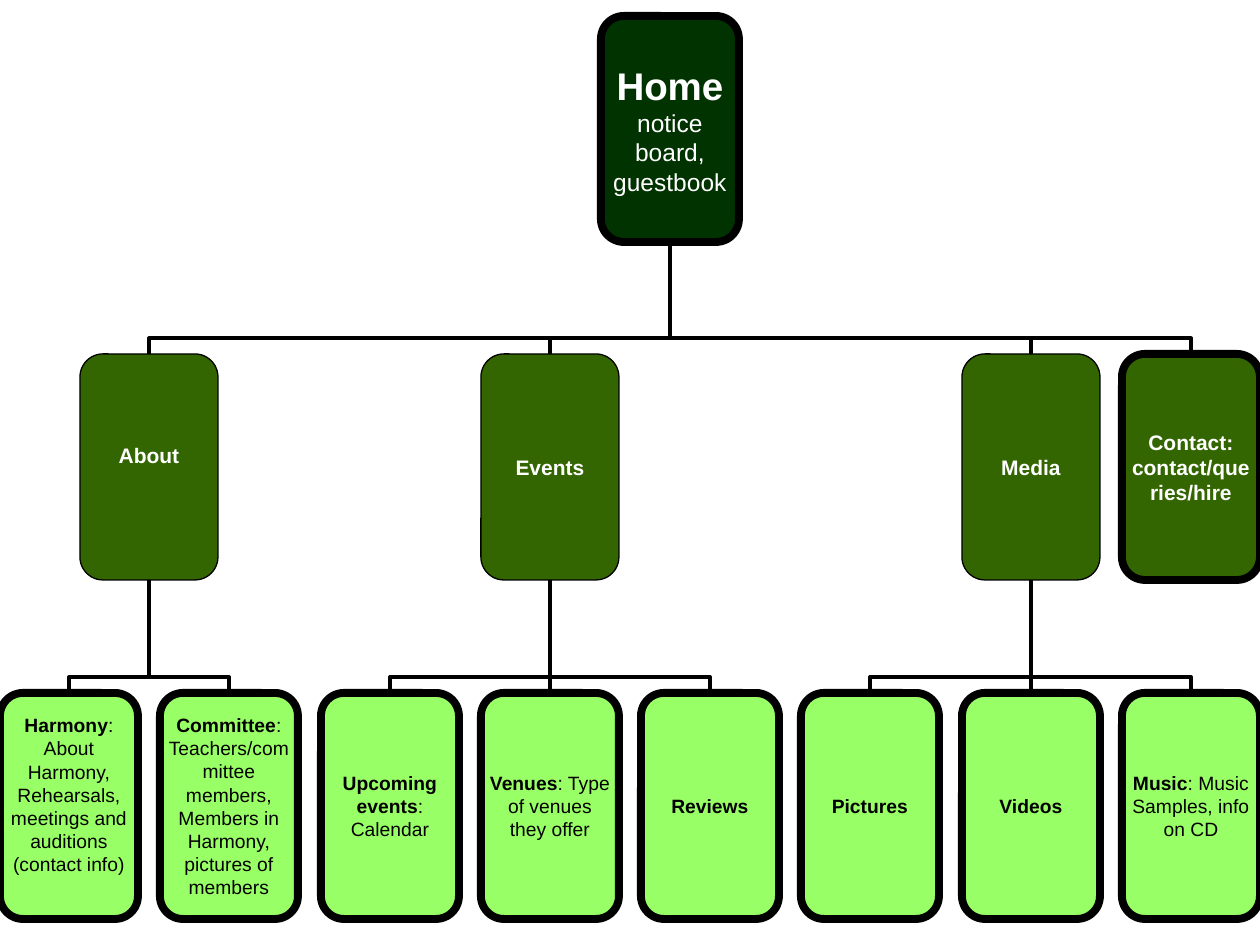
from lxml.etree import SubElement
from pptx import Presentation
from pptx.dml.color import RGBColor
from pptx.enum.shapes import MSO_CONNECTOR, MSO_SHAPE
from pptx.enum.text import MSO_ANCHOR, PP_ALIGN
from pptx.oxml.ns import qn
from pptx.util import Pt

EMU_PER_PX = 914400 / 126
PAGE_WIDTH, PAGE_HEIGHT = 1260, 945
BOX_WIDTH, BOX_HEIGHT = 138, 226
COLUMN_STEP = (PAGE_WIDTH - BOX_WIDTH) / 7
ROW_TOPS = [16, 354, 693]
BEND_POSITION = 86100
COLORS = {
    "home": "003300",
    "section": "336600",
    "topic": "99FF66",
    "light": "FFFFFF",
    "dark": "000000",
}
STYLES = [
    {"fill": "home", "text": "light", "size": 14},
    {"fill": "section", "text": "light", "size": 12},
    {"fill": "topic", "text": "dark", "size": 11},
]
THICK, THIN = 4.5, 0.75

# name: (row, column, parent, border, bottom inset, paragraphs of (text, bold, size))
NODES = {
    "Home": (0, 3.75, None, THICK, 0, [[("Home", True, 22)], [("notice board, guestbook", False)]]),
    "About": (1, 0.5, "Home", THIN, 24, [[("About", True)]]),
    "Events": (1, 3, "Home", THIN, 0, [[("Events", True)]]),
    "Media": (1, 6, "Home", THIN, 0, [[("Media", True)]]),
    "Contact": (1, 7, "Home", THICK, 0, [[("Contact: contact/queries/hire", True)]]),
    "Harmony": (2, 0, "About", THICK, 23, [
        [("Harmony", True), (": About Harmony,", False)],
        [("Rehearsals, meetings and auditions (contact info)", False)]]),
    "Committee": (2, 1, "About", THICK, 0, [
        [("Committee", True),
         (": Teachers/committee members, Members in Harmony, pictures of members", False)]]),
    "Upcoming": (2, 2, "Events", THICK, 0, [[("Upcoming events", True), (": Calendar", False)]]),
    "Venues": (2, 3, "Events", THICK, 0, [
        [("Venues", True), (": Type of venues they offer", False)]]),
    "Reviews": (2, 4, "Events", THICK, 0, [[("Reviews", True)]]),
    "Pictures": (2, 5, "Media", THICK, 0, [[("Pictures", True)]]),
    "Videos": (2, 6, "Media", THICK, 0, [[("Videos", True)]]),
    "Music": (2, 7, "Media", THICK, 0, [
        [("Music", True), (": Music Samples, info on CD", False)]]),
}


def px(length):
    """Turn pixels into EMU."""
    return round(length * EMU_PER_PX)


def color(name):
    """Look up a named colour."""
    return RGBColor.from_string(COLORS[name])


def set_all(target, values):
    """Set attributes from a dict of format values."""
    for name, value in values.items():
        setattr(target, name, value)


def position(name):
    """Return the left and top of a node in pixels."""
    row, column = NODES[name][:2]
    return round(column * COLUMN_STEP), ROW_TOPS[row]


def add_link(page, parent, child):
    """Join the bottom of a parent to the top of its child."""
    (parent_left, parent_top), (child_left, child_top) = position(parent), position(child)
    start_x, end_x = parent_left + BOX_WIDTH / 2, child_left + BOX_WIDTH / 2
    start_y, end_y = parent_top + BOX_HEIGHT, child_top
    bent = start_x != end_x
    ends = (start_x, start_y, end_x, end_y)
    if bent:
        middle_x, middle_y = (start_x + end_x) / 2, (start_y + end_y) / 2
        half_drop, half_shift = (end_y - start_y) / 2, (end_x - start_x) / 2
        ends = (middle_x - half_drop, middle_y + half_shift,
                middle_x + half_drop, middle_y - half_shift)
    kind = MSO_CONNECTOR.ELBOW if bent else MSO_CONNECTOR.STRAIGHT
    link = page.shapes.add_connector(kind, *map(px, ends))
    link.line.color.rgb = color("dark")
    link.line.width = Pt(2.25)
    properties = link._element.spPr
    if bent:
        properties.find(qn("a:xfrm")).set("rot", str(90 * 60000))
        guides = properties.find(qn("a:prstGeom")).find(qn("a:avLst"))
        SubElement(guides, qn("a:gd"), name="adj1", fmla=f"val {BEND_POSITION}")
    SubElement(properties, qn("a:effectLst"))


def add_node(page, name):
    """Draw one rounded box with its text."""
    row, _, _, border, bottom, paragraphs = NODES[name]
    style = STYLES[row]
    left, top = position(name)
    box = page.shapes.add_shape(
        MSO_SHAPE.ROUNDED_RECTANGLE, *map(px, (left, top, BOX_WIDTH, BOX_HEIGHT)))
    box.shadow.inherit = False
    box.fill.solid()
    box.fill.fore_color.rgb = color(style["fill"])
    box.line.color.rgb = color("dark")
    box.line.width = Pt(border)
    frame = box.text_frame
    set_all(frame, {
        "margin_left": 0, "margin_right": 0, "margin_top": 0, "margin_bottom": px(bottom),
        "word_wrap": True, "vertical_anchor": MSO_ANCHOR.MIDDLE,
    })
    for index, spans in enumerate(paragraphs):
        para = frame.add_paragraph() if index else frame.paragraphs[0]
        para.alignment = PP_ALIGN.CENTER
        for text, bold, *size in spans:
            span = para.add_run()
            span.text = text
            points = size[0] if size else style["size"]
            set_all(span.font, {"name": "Arial", "size": Pt(points), "bold": bold})
            span.font.color.rgb = color(style["text"])


def main():
    """Build the site map and save it."""
    deck = Presentation()
    set_all(deck, {"slide_width": px(PAGE_WIDTH), "slide_height": px(PAGE_HEIGHT)})
    page = deck.slides.add_slide(deck.slide_layouts[6])
    for name, node in NODES.items():
        if node[2]:
            add_link(page, node[2], name)
    for name in NODES:
        add_node(page, name)
    deck.save("out.pptx")


if __name__ == "__main__":
    main()
